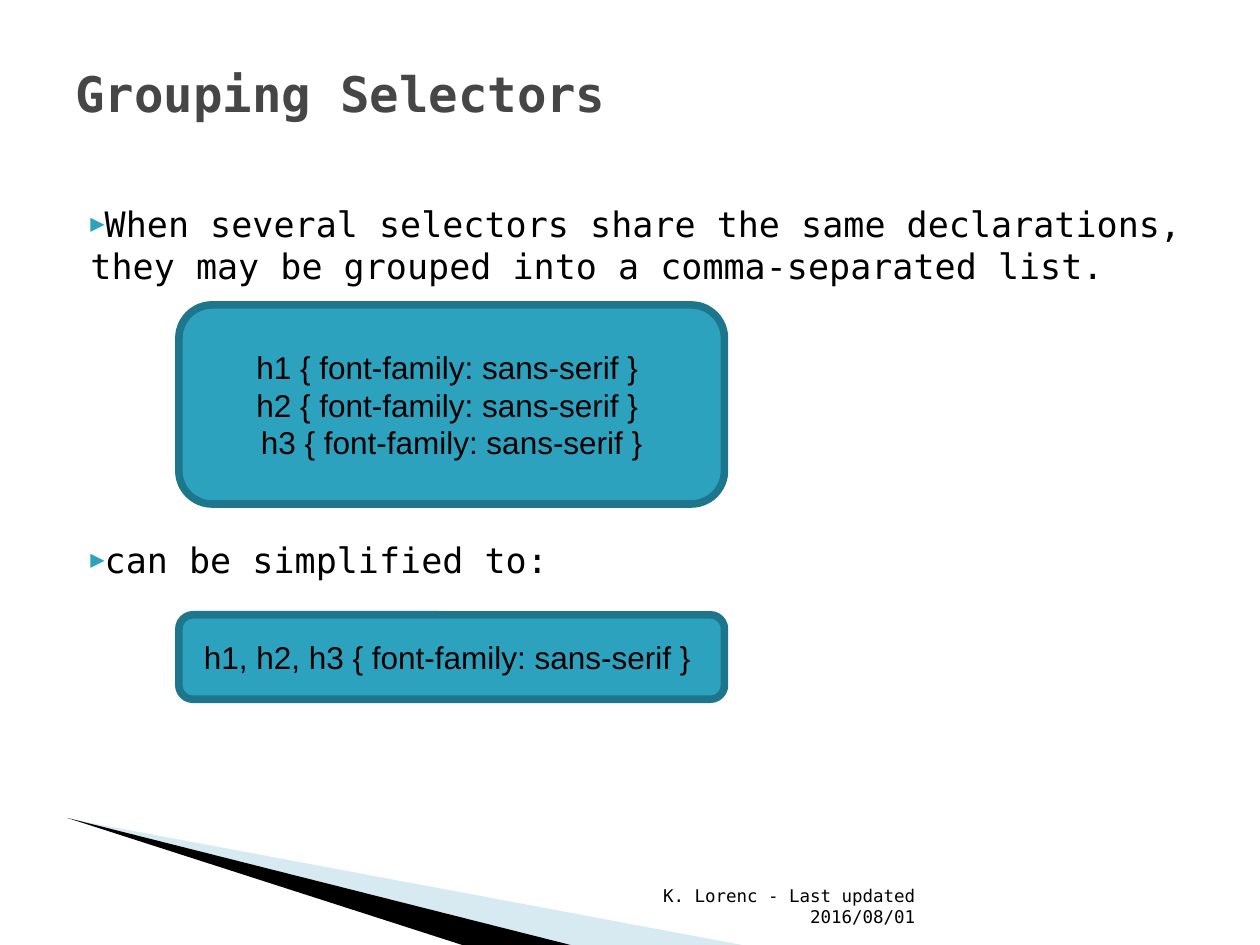
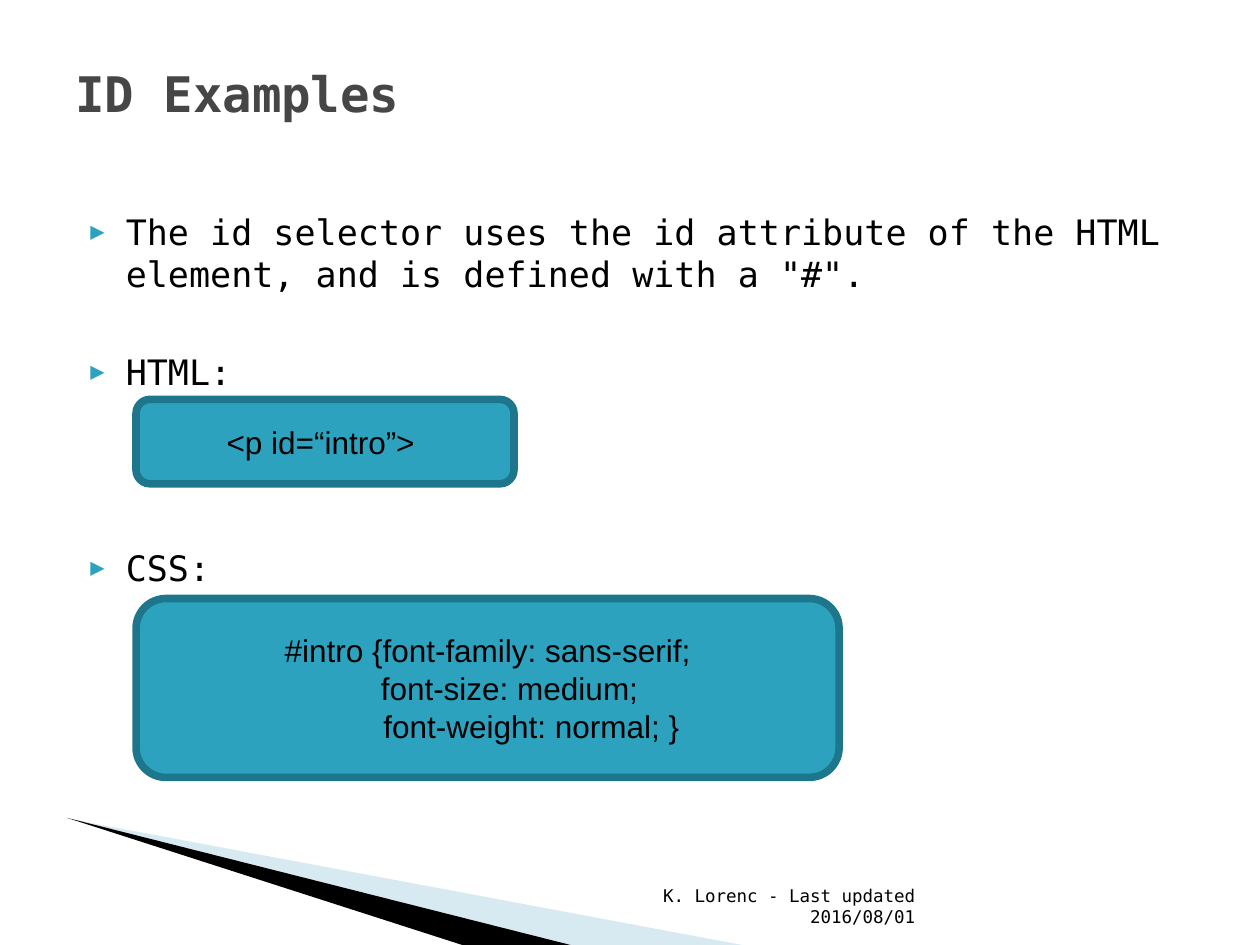
from dataclasses import dataclass

from lxml import etree
from pptx import Presentation
from pptx import util as u
from pptx.dml.color import RGBColor
from pptx.enum import shapes, text
from pptx.oxml.ns import qn


@dataclass(frozen=True)
class Theme:
    accent: str = "2DA2BF"
    accent_dark: str = "1E768C"
    pale: str = "9FCBDC"
    ink: str = "000000"
    heading: str = "464646"
    mono: str = "DejaVu Sans Mono"
    sans: str = "Arial"
    title_size: int = 28
    body_size: int = 20
    code_size: int = 18
    footer_size: int = 10
    border: float = 4.33
    paragraph_gap: int = 4
    body_step: int = 28      # points from one body line to the next paragraph
    code_space: int = 5      # points taken by one space in the code font
    bullet_percent: int = 68


THEME = Theme()
WIDTH, HEIGHT = 10, 7.5
MARGIN = 0.5
CONTENT_WIDTH = WIDTH - 2 * MARGIN
TITLE_BOX = (MARGIN, 0.3, CONTENT_WIDTH, 0.87)
FOOTER_BOX = (4.57, 7.01, 2.79, 0.4)
BODY_BOTTOM = 6.57
FOOTER = "K. Lorenc - Last updated 2016/08/01"

# Corner wedges: outline, colour, opacity in percent
WEDGES = [
    ([(0.55, 6.5), (5.89, HEIGHT), (4.53, HEIGHT)], THEME.pale, 40),
    ([(0.53, 6.49), (4.53, HEIGHT), (3.67, HEIGHT)], THEME.ink, 100),
]

# bullets: (text, free lines above); code lines: (text, shift in spaces)
SLIDES = [
    {
        "title": "Grouping Selectors",
        "body_top": 1.56,
        "indent": (0.12, 0),
        "bullets": [
            ("When several selectors share the same declarations, "
             "they may be grouped into a comma-separated list.", 0),
            ("can be simplified to:", 5),
        ],
        "code": [
            ((1.42, 2.42, 4.33, 1.58), [
                ("h1 { font-family: sans-serif }", -1),
                ("h2 { font-family: sans-serif }", -1),
                ("h3 { font-family: sans-serif }", 0),
            ]),
            ((1.42, 4.88, 4.33, 0.67), [
                ("h1, h2, h3 { font-family: sans-serif }", -1),
            ]),
        ],
    },
    {
        "title": "ID Examples",
        "body_top": 1.62,
        "indent": (0.4, -0.28),
        "bullets": [
            ("The id selector uses the id attribute of the HTML element, "
             'and is defined with a "#".', 0),
            ("HTML:", 1),
            ("CSS:", 3),
        ],
        "code": [
            ((1.08, 3.17, 3, 0.67), [("<p id=“intro”>", -1)]),
            ((1.08, 4.75, 5.58, 1.42), [
                ("#intro {font-family: sans-serif;", 0),
                ("font-size: medium;", 5),
                ("font-weight: normal; }", 10),
            ]),
        ],
    },
]


def inches(values):
    return [u.Inches(value) for value in values]


def paint(fill, color):
    fill.solid()
    fill.fore_color.rgb = RGBColor.from_string(color)


def write(frame, lines, font, size, color, align=text.PP_ALIGN.LEFT, bold=False,
          anchor=text.MSO_ANCHOR.TOP):
    """Fill a text frame, one paragraph a line."""
    frame.word_wrap = True
    frame.vertical_anchor = anchor
    frame.text = "\n".join(lines)
    for paragraph in frame.paragraphs:
        paragraph.alignment = align
        for run in paragraph.runs:
            run.font.name = font
            run.font.size = u.Pt(size)
            run.font.bold = bold
            run.font.color.rgb = RGBColor.from_string(color)
    return frame


def add_text(slide, box, lines, *style, **options):
    frame = slide.shapes.add_textbox(*inches(box)).text_frame
    return write(frame, lines, *style, **options)


def add_wedge(slide, points, color, opacity):
    start, *others = [inches(point) for point in points]
    builder = slide.shapes.build_freeform(*start)
    builder.add_line_segments(others, close=True)
    wedge = builder.convert_to_shape()
    wedge.shadow.inherit = False
    wedge.line.fill.background()
    paint(wedge.fill, color)
    if opacity < 100:
        tint = wedge.fill._xPr.find(qn("a:solidFill"))[0]
        etree.SubElement(tint, qn("a:alpha"), val=str(opacity * 1000))


def set_bullet(paragraph, left, first_line):
    properties = paragraph._p.get_or_add_pPr()
    properties.set("marL", str(u.Inches(left)))
    properties.set("indent", str(u.Inches(first_line)))
    color = etree.SubElement(properties, qn("a:buClr"))
    etree.SubElement(color, qn("a:srgbClr"), val=THEME.accent)
    etree.SubElement(properties, qn("a:buSzPct"), val=str(THEME.bullet_percent * 1000))
    etree.SubElement(properties, qn("a:buFont"), typeface=THEME.mono)
    etree.SubElement(properties, qn("a:buChar"), char="▶")


def add_bullets(slide, top, indent, bullets):
    box = (MARGIN, top, CONTENT_WIDTH, BODY_BOTTOM - top)
    frame = add_text(slide, box, [line for line, _ in bullets],
                     THEME.mono, THEME.body_size, THEME.ink)
    frame.margin_right = 0
    for paragraph, (_, free_lines) in zip(frame.paragraphs, bullets):
        set_bullet(paragraph, *indent)
        paragraph.space_before = u.Pt(THEME.paragraph_gap + free_lines * THEME.body_step)


def add_code(slide, box, lines):
    panel = slide.shapes.add_shape(shapes.MSO_SHAPE.ROUNDED_RECTANGLE, *inches(box))
    panel.shadow.inherit = False
    paint(panel.fill, THEME.accent)
    paint(panel.line.fill, THEME.accent_dark)
    panel.line.width = u.Pt(THEME.border)
    frame = write(panel.text_frame, [line for line, _ in lines], THEME.sans,
                  THEME.code_size, THEME.ink, align=text.PP_ALIGN.CENTER,
                  anchor=text.MSO_ANCHOR.MIDDLE)
    for paragraph, (_, shift) in zip(frame.paragraphs, lines):
        properties = paragraph._p.get_or_add_pPr()
        for side, spaces in (("marL", max(shift, 0)), ("marR", max(-shift, 0))):
            properties.set(side, str(u.Pt(spaces * THEME.code_space)))
        properties.set("indent", "0")


def add_frame(slide, title):
    """Draw what every slide shares: wedges, footer and title."""
    for wedge in WEDGES:
        add_wedge(slide, *wedge)
    add_text(slide, FOOTER_BOX, [FOOTER], THEME.mono, THEME.footer_size, THEME.ink,
             align=text.PP_ALIGN.RIGHT, anchor=text.MSO_ANCHOR.BOTTOM)
    add_text(slide, TITLE_BOX, [title], THEME.mono, THEME.title_size, THEME.heading,
             bold=True, anchor=text.MSO_ANCHOR.MIDDLE)


def main():
    presentation = Presentation()
    presentation.slide_width, presentation.slide_height = inches((WIDTH, HEIGHT))
    blank = presentation.slide_layouts[6]
    for content in SLIDES:
        slide = presentation.slides.add_slide(blank)
        add_frame(slide, content["title"])
        add_bullets(slide, content["body_top"], content["indent"], content["bullets"])
        for box, lines in content["code"]:
            add_code(slide, box, lines)
    presentation.save("out.pptx")


if __name__ == "__main__":
    main()
